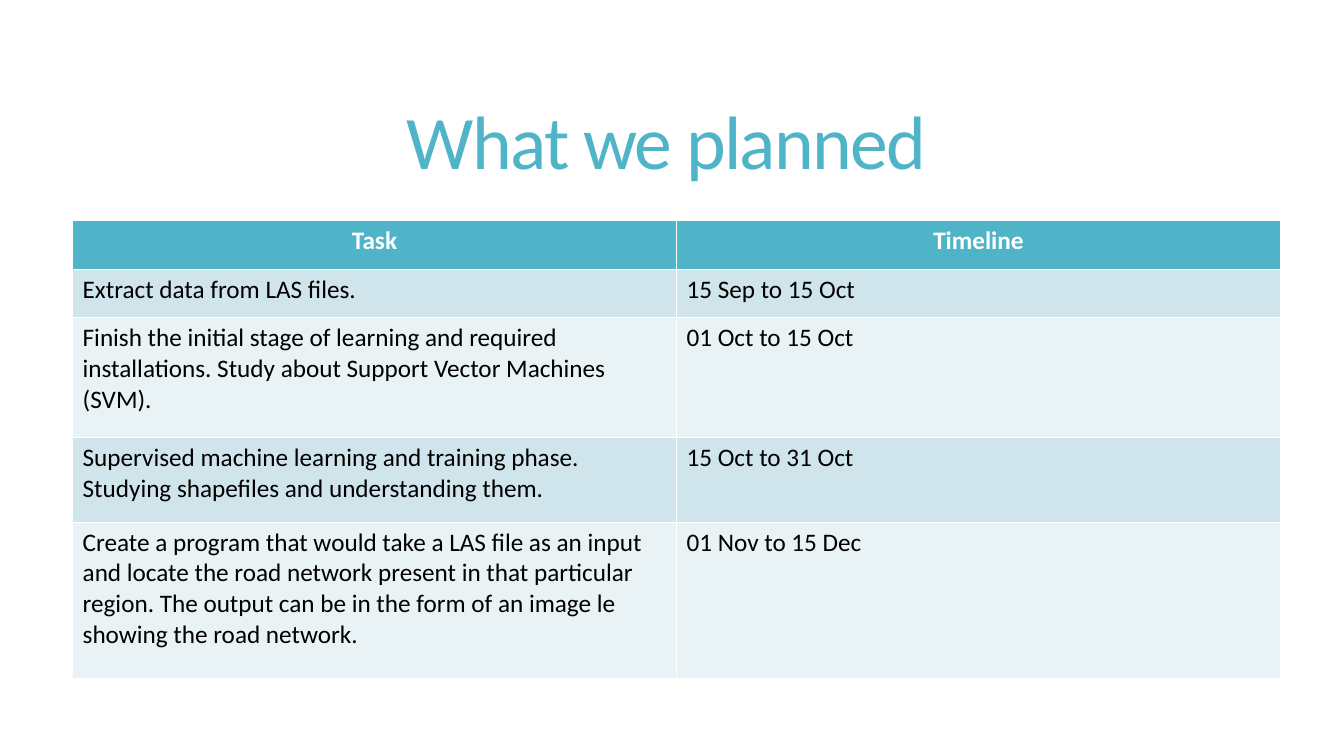
import pptx
import pptx.dml.color
import pptx.enum.text
import pptx.util

Inches = pptx.util.Inches
ALIGN = pptx.enum.text.PP_ALIGN
ANCHOR = pptx.enum.text.MSO_ANCHOR

THEME = {
    "font": "Calibri",
    "accent": "50B4C8",
    "bands": ["D0E5EB", "E9F2F5"],
    "light": "FFFFFF",
    "dark": "000000",
    "title_size": 54,
    "table_size": 18,
}
LEFT = 0.72
COLUMN_WIDTH = 5.99
ROW_HEIGHTS = [0.48, 0.48, 1.19, 0.84, 1.55]
PLAN = [
    ("Task", "Timeline"),
    ("Extract data from LAS files.", "15 Sep to 15 Oct"),
    ("Finish the initial stage of learning and required installations. "
     "Study about Support Vector Machines (SVM).", "01 Oct to 15 Oct"),
    ("Supervised machine learning and training phase. "
     "Studying shapefiles and understanding them.", "15 Oct to 31 Oct"),
    ("Create a program that would take a LAS file as an input and locate the "
     "road network present in that particular region. The output can be in the "
     "form of an image le showing the road network.", "01 Nov to 15 Dec"),
]


def write(frame, text, size, color, bold=False, align=ALIGN.LEFT, line_spacing=None, tracking=None):
    """Fill a text frame with one formatted paragraph; tracking is in points."""
    frame.word_wrap = True
    para = frame.paragraphs[0]
    para.alignment = align
    para.line_spacing = line_spacing
    span = para.add_run()
    span.text = text
    span.font.name = THEME["font"]
    span.font.size = pptx.util.Pt(size)
    span.font.bold = bold
    span.font.color.rgb = pptx.dml.color.RGBColor.from_string(color)
    if tracking is not None:
        span.font._element.set("spc", str(round(tracking * 100)))


deck = pptx.Presentation()
deck.slide_width, deck.slide_height = Inches(13.33), Inches(7.5)
page = deck.slides.add_slide(deck.slide_layouts[6])

title_box = page.shapes.add_textbox(Inches(LEFT), Inches(0.55), Inches(11.78), Inches(1.81))
title_box.text_frame.vertical_anchor = ANCHOR.MIDDLE
write(title_box.text_frame, "What we planned", THEME["title_size"], THEME["accent"],
      align=ALIGN.CENTER, line_spacing=0.85, tracking=-1.2)

# The default table style supplies the white rules between cells.
table = page.shapes.add_table(
    len(PLAN), 2, Inches(LEFT), Inches(2.19),
    Inches(2 * COLUMN_WIDTH), Inches(sum(ROW_HEIGHTS))).table
for column in table.columns:
    column.width = Inches(COLUMN_WIDTH)

for row_index, (height, texts) in enumerate(zip(ROW_HEIGHTS, PLAN)):
    table.rows[row_index].height = Inches(height)
    header = row_index == 0
    fill = THEME["accent"] if header else THEME["bands"][(row_index - 1) % 2]
    for column_index, text in enumerate(texts):
        cell = table.cell(row_index, column_index)
        cell.fill.solid()
        cell.fill.fore_color.rgb = pptx.dml.color.RGBColor.from_string(fill)
        write(cell.text_frame, text, THEME["table_size"],
              THEME["light"] if header else THEME["dark"], bold=header,
              align=ALIGN.CENTER if header else ALIGN.LEFT)

deck.save("out.pptx")
